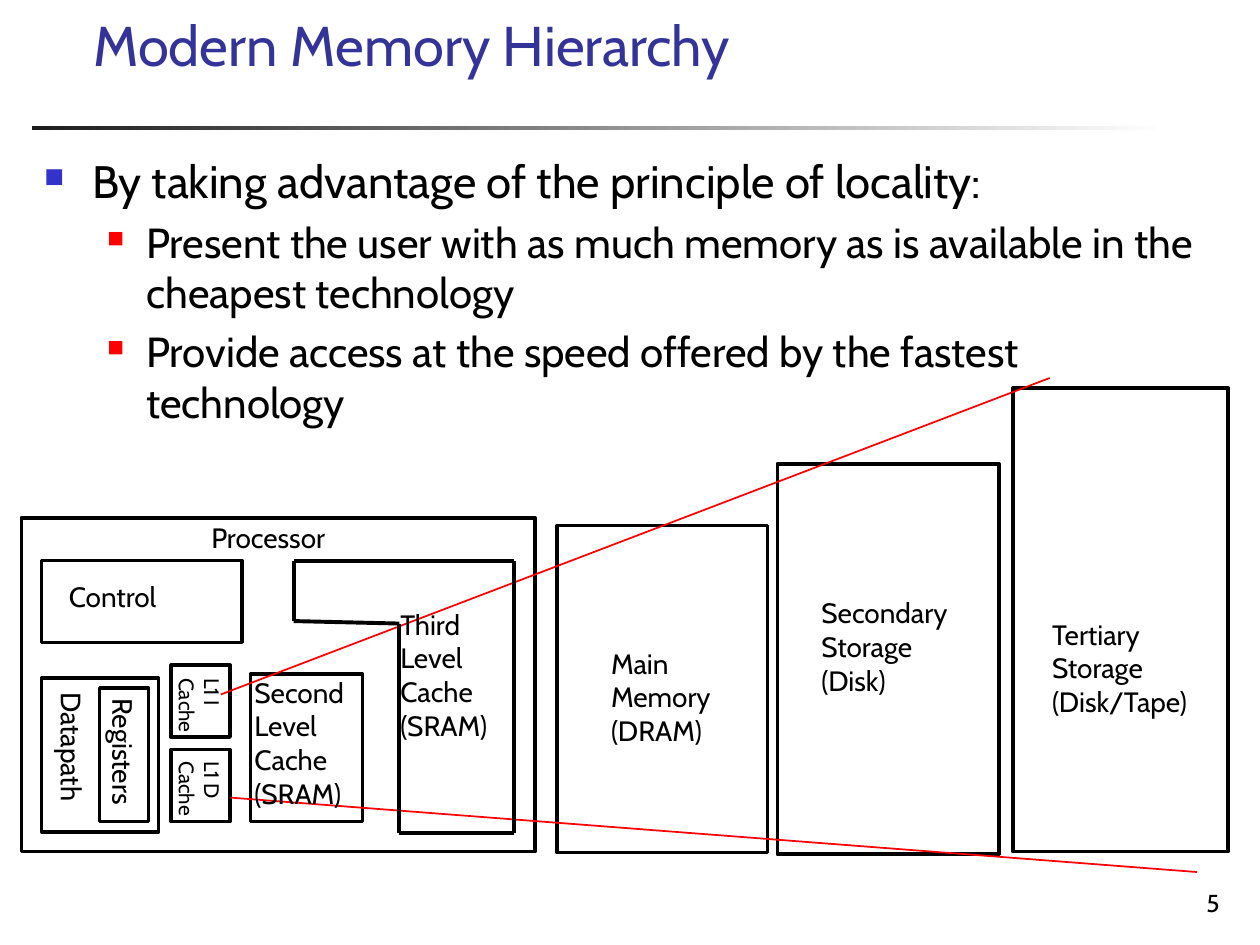
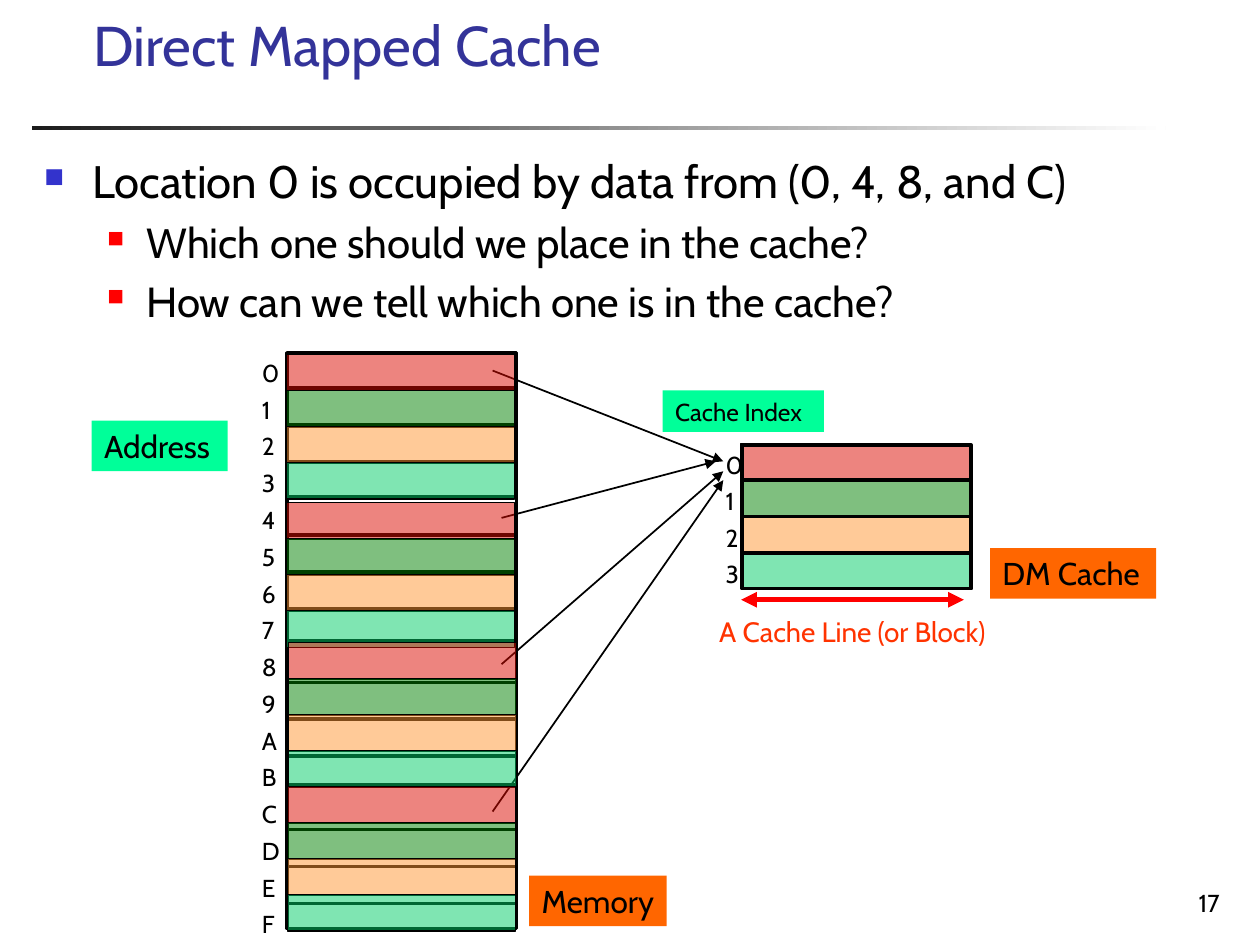
from dataclasses import dataclass
from itertools import cycle

from lxml import etree
from pptx import Presentation
from pptx.dml.color import RGBColor
from pptx.enum.shapes import MSO_CONNECTOR, MSO_SHAPE
from pptx.enum.text import MSO_ANCHOR, MSO_AUTO_SIZE, PP_ALIGN
from pptx.oxml.ns import qn
from pptx.util import Cm, Pt

RECT = MSO_SHAPE.RECTANGLE
STRAIGHT = MSO_CONNECTOR.STRAIGHT
TOP, BOTTOM = MSO_ANCHOR.TOP, MSO_ANCHOR.BOTTOM
LEFT, RIGHT = PP_ALIGN.LEFT, PP_ALIGN.RIGHT
FIT, NO_FIT = MSO_AUTO_SIZE.SHAPE_TO_FIT_TEXT, MSO_AUTO_SIZE.NONE
BLANK_LAYOUT = 6


@dataclass(frozen=True)
class Theme:
    font: str = "Cabin"
    ink: str = "000000"
    title: str = "333399"
    rule_start: str = "1C1C1C"
    rule_end: str = "FFFFFF"
    red: str = "FF0000"
    caption: str = "FF3300"
    orange: str = "FF6600"
    mint: str = "00FF99"
    bands: tuple[str, ...] = ("DC0A00", "008000", "FF9632", "00CC66")
    title_size: float = 32
    tag_size: float = 18
    label_size: float = 16
    small_size: float = 14
    tiny_size: float = 12


T = Theme()


# Repeated elements; all lengths are centimetres
@dataclass(frozen=True)
class Area:
    x: float
    y: float
    w: float
    h: float


@dataclass(frozen=True)
class Level:
    size: float
    margin: float
    hang: float
    bullet_color: str
    bullet_pct: int


@dataclass(frozen=True)
class Label:
    text: str
    area: Area
    size: float = T.label_size
    rotation: float = 0


@dataclass(frozen=True)
class Tag:
    text: str
    area: Area
    fill: str
    size: float = T.tag_size


@dataclass(frozen=True)
class Line:
    x1: float
    y1: float
    x2: float
    y2: float


LEVELS = (Level(26, 0.97, 0.97, "3333CC", 60), Level(24, 2.06, 0.79, T.red, 55))


# Drawing helpers
def rgb(color: str) -> RGBColor:
    return RGBColor.from_string(color)


def spread(first: float, last: float, count: int) -> list[float]:
    """Evenly spaced positions, both ends included."""
    return [first + (last - first) * i / (count - 1) for i in range(count)]


def write(tf, text: str, *, size: float = T.label_size, color: str = T.ink,
          align=LEFT, anchor=TOP, wrap: bool = False, fit=FIT) -> None:
    """Fill a text frame, one paragraph for each line of text."""
    tf.word_wrap, tf.auto_size, tf.vertical_anchor = wrap, fit, anchor
    for i, line in enumerate(text.split("\n")):
        p = tf.add_paragraph() if i else tf.paragraphs[0]
        p.alignment = align
        r = p.add_run()
        r.text = line
        r.font.name, r.font.size = T.font, Pt(size)
        r.font.color.rgb = rgb(color)


def add_text(s, area: Area, text: str, *, rotation: float = 0, **style):
    sp = s.shapes.add_textbox(Cm(area.x), Cm(area.y), Cm(area.w), Cm(area.h))
    write(sp.text_frame, text, **style)
    sp.rotation = rotation
    return sp


def add_box(shapes, area: Area, *, fill: str = "", alpha: int = 100,
            line_width: float = 2):
    sp = shapes.add_shape(RECT, Cm(area.x), Cm(area.y), Cm(area.w), Cm(area.h))
    sp.shadow.inherit = False
    if fill:
        sp.fill.solid()
        sp.fill.fore_color.rgb = rgb(fill)
        if alpha < 100:
            clr = sp.fill._xPr.find(qn("a:solidFill")).find(qn("a:srgbClr"))
            etree.SubElement(clr, qn("a:alpha"), val=str(alpha * 1000))
    else:
        sp.fill.background()
    if line_width:
        sp.line.color.rgb = rgb(T.ink)
        sp.line.width = Pt(line_width)
    else:
        sp.line.fill.background()
    return sp


def add_line(s, line: Line, *, color: str = T.ink, width: float = 2,
             head: bool = False, tail: bool = False) -> None:
    cn = s.shapes.add_connector(STRAIGHT, Cm(line.x1), Cm(line.y1),
                                Cm(line.x2), Cm(line.y2))
    cn.line.color.rgb = rgb(color)
    cn.line.width = Pt(width)
    ln = cn.line._get_or_add_ln()
    for name, wanted in (("a:headEnd", head), ("a:tailEnd", tail)):
        if wanted:
            etree.SubElement(ln, qn(name), type="triangle")
    etree.SubElement(cn._element.spPr, qn("a:effectLst"))


def add_tag(s, tag: Tag) -> None:
    sp = add_box(s.shapes, tag.area, fill=tag.fill, line_width=0)
    write(sp.text_frame, tag.text, size=tag.size)


def set_bullet(p, level: Level) -> None:
    p.space_before = Pt(0.2 * level.size)
    pPr = p._p.get_or_add_pPr()
    pPr.set("marL", str(Cm(level.margin)))
    pPr.set("indent", str(-Cm(level.hang)))
    clr = etree.SubElement(pPr, qn("a:buClr"))
    etree.SubElement(clr, qn("a:srgbClr"), val=level.bullet_color)
    etree.SubElement(pPr, qn("a:buSzPct"), val=str(level.bullet_pct * 1000))
    etree.SubElement(pPr, qn("a:buChar"), char="■")


# What every slide shares: rule, title, bullets, number
def add_slide(prs, title: str, number: int, point: str, subpoints: list[str]):
    s = prs.slides.add_slide(prs.slide_layouts[BLANK_LAYOUT])
    rule = add_box(s.shapes, Area(0.64, 2.54, 22.86, 0.08), line_width=0)
    rule.fill.gradient()
    rule.fill.gradient_angle = 0
    for stop, color in zip(rule.fill.gradient_stops, (T.rule_start, T.rule_end)):
        stop.color.rgb = rgb(color)

    add_text(s, Area(1.63, 0.38, 22.5, 1.32), title, size=T.title_size,
             color=T.title, anchor=BOTTOM, wrap=True, fit=NO_FIT)
    body = add_text(s, Area(0.64, 2.97, 24.23, 14.07),
                    "\n".join([point, *subpoints]), wrap=True, fit=NO_FIT)
    for i, p in enumerate(body.text_frame.paragraphs):
        level = LEVELS[min(i, 1)]
        p.level = min(i, 1)
        p.runs[0].font.size = Pt(level.size)
        set_bullet(p, level)
    add_text(s, Area(19.56, 17.35, 5.28, 1.27), str(number), size=T.small_size,
             align=RIGHT, anchor=BOTTOM, wrap=True, fit=NO_FIT)
    return s


# Slide: memory hierarchy
def hierarchy_slide(prs) -> None:
    s = add_slide(prs, "Modern Memory Hierarchy", 5,
                  "By taking advantage of the principle of locality:",
                  ["Present the user with as much memory as is available in the "
                   "cheapest technology",
                   "Provide access at the speed offered by the fastest technology"])
    boxes = (
        Area(0.43, 10.44, 10.36, 6.73),   # processor
        Area(0.84, 11.3, 4.04, 1.65),     # control
        Area(0.84, 13.67, 2.36, 3.1),     # datapath
        Area(2.01, 13.87, 0.99, 2.69),    # registers
        Area(3.45, 13.41, 1.19, 1.45),    # L1 instruction cache
        Area(3.45, 15.11, 1.19, 1.45),    # L1 data cache
        Area(5.05, 13.59, 2.26, 2.97),    # second level cache
        Area(11.23, 10.59, 4.24, 6.6),    # main memory
        Area(15.67, 9.35, 4.47, 7.87),    # secondary storage
        Area(20.42, 7.82, 4.34, 9.35),    # tertiary storage
    )
    for area in boxes:
        add_box(s.shapes, area)

    # Widening cone from the L1 caches to tertiary storage
    for edge in (Line(4.45, 14, 21.16, 7.62), Line(4.65, 16.08, 24.13, 17.58)):
        add_line(s, edge, color=T.red, width=1)

    # L-shaped outline of the third level cache
    corners = [(5.92, 11.3), (5.92, 12.52), (8.05, 12.57),
               (8.05, 16.79), (10.36, 16.79), (10.36, 11.3)]
    for start, end in zip(corners, corners[1:] + corners[:1]):
        add_line(s, Line(*start, *end), width=2.25)

    labels = (
        Label("Processor", Area(4.01, 10.36, 2.92, 0.94)),
        Label("Control", Area(1.14, 11.56, 2.39, 0.91)),
        Label("Datapath", Area(0.05, 14.63, 2.79, 0.94), rotation=90),
        Label("Registers", Area(1.09, 14.76, 2.79, 0.94), rotation=90),
        Label("L1 I\nCache", Area(3.2, 13.61, 1.65, 1.27), T.tiny_size, 90),
        Label("L1 D\nCache", Area(3.2, 15.29, 1.65, 1.27), T.tiny_size, 90),
        Label("Second\nLevel\nCache\n(SRAM)", Area(4.88, 13.49, 2.39, 3)),
        Label("Third\nLevel\nCache\n(SRAM)", Area(7.82, 12.12, 2.39, 3)),
        Label("Main\nMemory\n(DRAM)", Area(12.07, 12.9, 2.54, 2.31)),
        Label("Secondary\nStorage\n(Disk)", Area(16.31, 11.89, 3.12, 2.31)),
        Label("Tertiary\nStorage\n(Disk/Tape)", Area(20.96, 12.32, 3.4, 2.31)),
    )
    for lb in labels:
        add_text(s, lb.area, lb.text, size=lb.size, rotation=lb.rotation,
                 wrap=lb.size == T.tiny_size)


# Slide: direct mapped cache
FRAME_W, FRAME_H = 4.62, 2.9
BAND_W, BAND_H, BAND_SPAN = 4.6, 0.74, 2.18


def add_bands(s, x: float, y: float) -> None:
    group = s.shapes.add_group_shape()
    for top, color in zip(spread(y, y + BAND_SPAN, len(T.bands)), cycle(T.bands)):
        add_box(group.shapes, Area(x, top, BAND_W, BAND_H), fill=color,
                alpha=50, line_width=0.75)


def add_frame(s, x: float, y: float, dividers: list[float]) -> None:
    add_box(s.shapes, Area(x, y, FRAME_W, FRAME_H))
    for d in dividers:
        add_line(s, Line(x, d, x + FRAME_W, d))


def add_addresses(s, x: float, tops: list[float], digits: str) -> None:
    for top, digit in zip(tops, digits):
        add_text(s, Area(x, top, 0.79, 0.84), digit, size=T.small_size)


def cache_slide(prs) -> None:
    s = add_slide(prs, "Direct Mapped Cache", 17,
                  "Location 0 is occupied by data from (0, 4, 8, and C)",
                  ["Which one should we place in the cache?",
                   "How can we tell which one is in the cache?"])
    # Cache
    add_bands(s, 14.94, 8.94)
    add_frame(s, 14.96, 8.97, spread(9.68, 11.15, 3))
    add_addresses(s, 14.38, spread(8.94, 11.15, 4), "0123")

    # Memory: four frames of four rows
    dividers = spread(7.82, 18.21, 15)
    for i, top in enumerate(spread(7.11, 15.82, 4)):
        add_frame(s, 5.79, top, dividers[4 * i:4 * i + 3])
    add_addresses(s, 5.03, spread(7.09, 18.21, 16), "0123456789ABCDEF")

    # Rows that share cache index 0
    for arrow in (Line(9.93, 7.47, 14.58, 9.3), Line(10.11, 10.44, 14.43, 9.3),
                  Line(10.11, 13.39, 14.58, 9.5), Line(9.93, 16.36, 14.58, 9.68)):
        add_line(s, arrow, width=1, tail=True)
    for x, y in ((5.77, 7.14), (5.77, 10.13), (5.82, 12.95), (5.79, 15.85)):
        add_bands(s, x, y)

    # Tags and the width of a cache line
    for tag in (Tag("Memory", Area(10.67, 17.65, 2.77, 1.02), T.orange),
                Tag("DM Cache", Area(19.96, 11.05, 3.35, 1.02), T.orange),
                Tag("Address", Area(1.85, 8.48, 2.74, 1.02), T.mint),
                Tag("Cache Index", Area(13.36, 7.87, 3.25, 0.84), T.mint,
                    T.small_size)):
        add_tag(s, tag)
    add_line(s, Line(14.94, 12.09, 19.43, 12.09), color=T.red, width=3,
             head=True, tail=True)
    add_text(s, Area(14.25, 12.27, 6.4, 0.94), "A Cache Line (or Block)",
             color=T.caption)


prs = Presentation()
prs.slide_width, prs.slide_height = Cm(25.4), Cm(19.05)
hierarchy_slide(prs)
cache_slide(prs)
prs.save("out.pptx")
